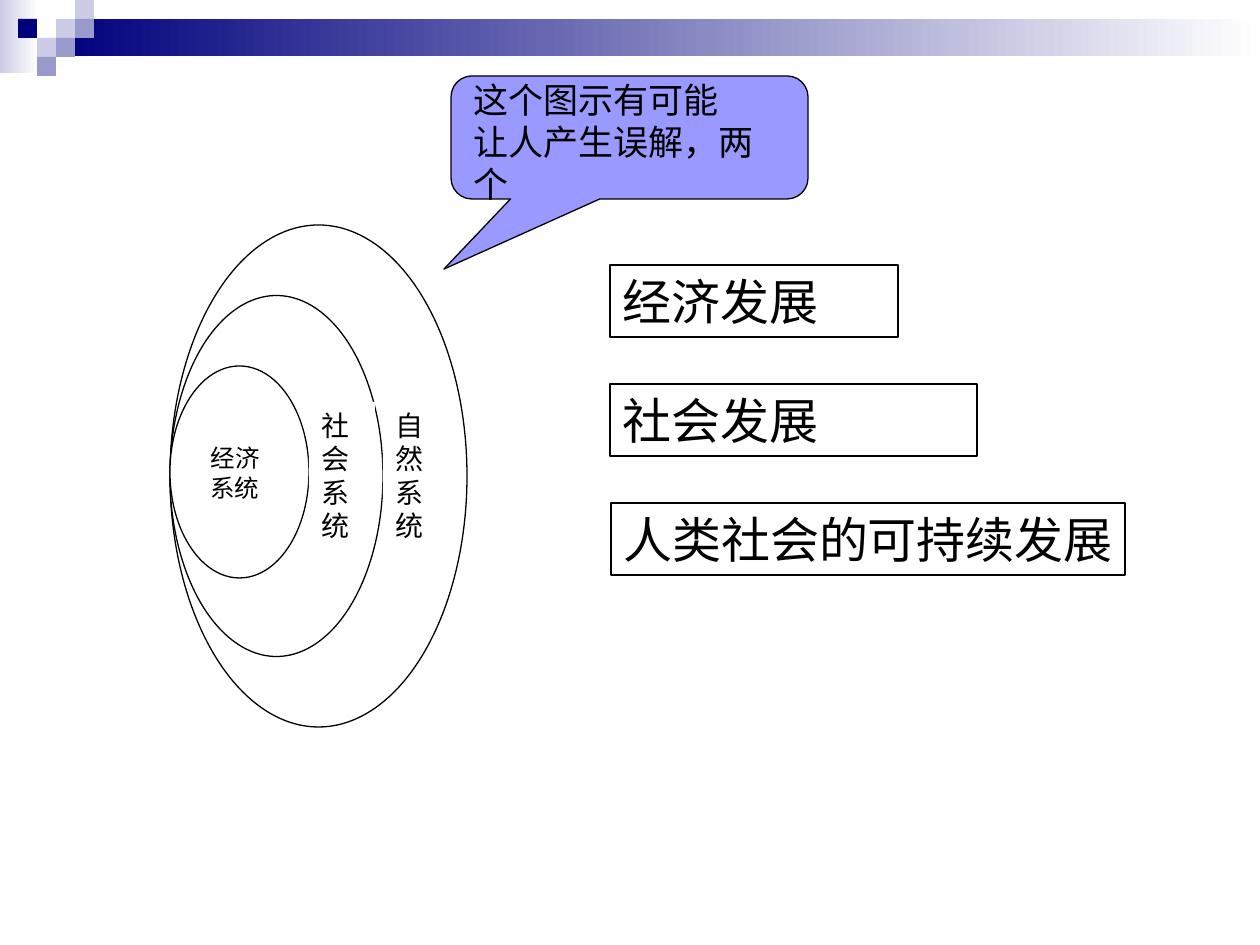
import pptx
import pptx.util
import pptx.dml.color
import pptx.enum.shapes
import pptx.enum.text

SCALE = 914400 / 126
COLORS = {
    "navy": "00007D",
    "lavender": "CCCCE6",
    "violet": "9999CC",
    "callout": "9999FF",
    "white": "FFFFFF",
    "black": "000000",
}
SHAPES = pptx.enum.shapes.MSO_SHAPE
ALIGN = pptx.enum.text.PP_ALIGN


def px(length):
    return pptx.util.Emu(round(length * SCALE))


def rgb(name):
    return pptx.dml.color.RGBColor.from_string(COLORS[name])


def add_figure(slide, kind, box, fill=None, outlined=False):
    figure = slide.shapes.add_shape(kind, *map(px, box))
    figure.shadow.inherit = False
    if fill:
        figure.fill.solid()
        figure.fill.fore_color.rgb = rgb(fill)
    else:
        figure.fill.background()
    if outlined:
        figure.line.color.rgb = rgb("black")
        figure.line.width = pptx.util.Pt(0.75)
    else:
        figure.line.fill.background()
    return figure


def add_fade(slide, box, start):
    band = add_figure(slide, SHAPES.RECTANGLE, box)
    band.fill.gradient()
    band.fill.gradient_angle = 0
    for stop, name in zip(band.fill.gradient_stops, (start, "white")):
        stop.color.rgb = rgb(name)


def write(figure, lines, size, font, align=ALIGN.LEFT, wrap=True):
    frame = figure.text_frame
    frame.word_wrap = wrap
    frame.vertical_anchor = pptx.enum.text.MSO_ANCHOR.TOP
    for index, line in enumerate(lines):
        paragraph = frame.add_paragraph() if index else frame.paragraphs[0]
        paragraph.alignment = align
        run = paragraph.add_run()
        run.text = line
        run.font.size = pptx.util.Pt(size)
        run.font.name = font
        run.font.color.rgb = rgb("black")


def add_header(slide):
    add_fade(slide, (0, 0, 39, 73), "lavender")
    add_fade(slide, (57, 19, 1203, 37), "navy")
    tile = 19
    mosaic = [
        (3, 1, "lavender"), (4, 0, "lavender"), (4, 1, "violet"),
        (2, 2, "lavender"), (1, 1, "navy"), (3, 2, "violet"), (2, 3, "violet"),
    ]
    for column, row, color in mosaic:
        add_figure(slide, SHAPES.RECTANGLE,
                   (column * tile - 1, row * tile, tile, tile), color)


def add_systems(slide):
    left, center = 170, 476
    for width, height, shift in ((297, 502, 0), (213, 361, 0), (139, 212, -4)):
        add_figure(slide, SHAPES.OVAL,
                   (left, center + shift - height / 2, width, height), "white", True)
    labels = [
        ("经济系统", (198, 437, 74, 106), 14),
        ("社会系统", (309, 402, 66, 141), 16),
        ("自然系统", (383, 402, 66, 176), 16),
    ]
    for text, box, size in labels:
        label = add_figure(slide, SHAPES.RECTANGLE, box, "white")
        write(label, [text], size, "Times New Roman", ALIGN.JUSTIFY)


def add_developments(slide):
    top, pitch = 265, 119
    stages = [
        ("经济发展", 610, 288, True),
        ("社会发展", 610, 367, True),
        ("人类社会的可持续发展", 611, 514, False),
    ]
    for row, (text, left, width, wrap) in enumerate(stages):
        stage = add_figure(slide, SHAPES.RECTANGLE,
                           (left, top + row * pitch, width, 72), outlined=True)
        write(stage, [text], 28, "Arial", wrap=wrap)


def add_remark(slide):
    bubble = add_figure(slide, SHAPES.ROUNDED_RECTANGULAR_CALLOUT,
                        (451, 76, 357, 123), "callout", True)
    for index, value in enumerate((-0.52, 1.07, 0.17)):
        bubble.adjustments[index] = value
    remark = slide.shapes.add_textbox(*map(px, (461, 72, 340, 97)))
    write(remark, ["这个图示有可能", "让人产生误解，两个"], 20, "Arial", wrap=False)


def main():
    deck = pptx.Presentation()
    deck.slide_width, deck.slide_height = px(1260), px(945)
    slide = deck.slides.add_slide(deck.slide_layouts[6])
    add_header(slide)
    add_systems(slide)
    add_developments(slide)
    add_remark(slide)
    deck.save("out.pptx")


if __name__ == "__main__":
    main()
